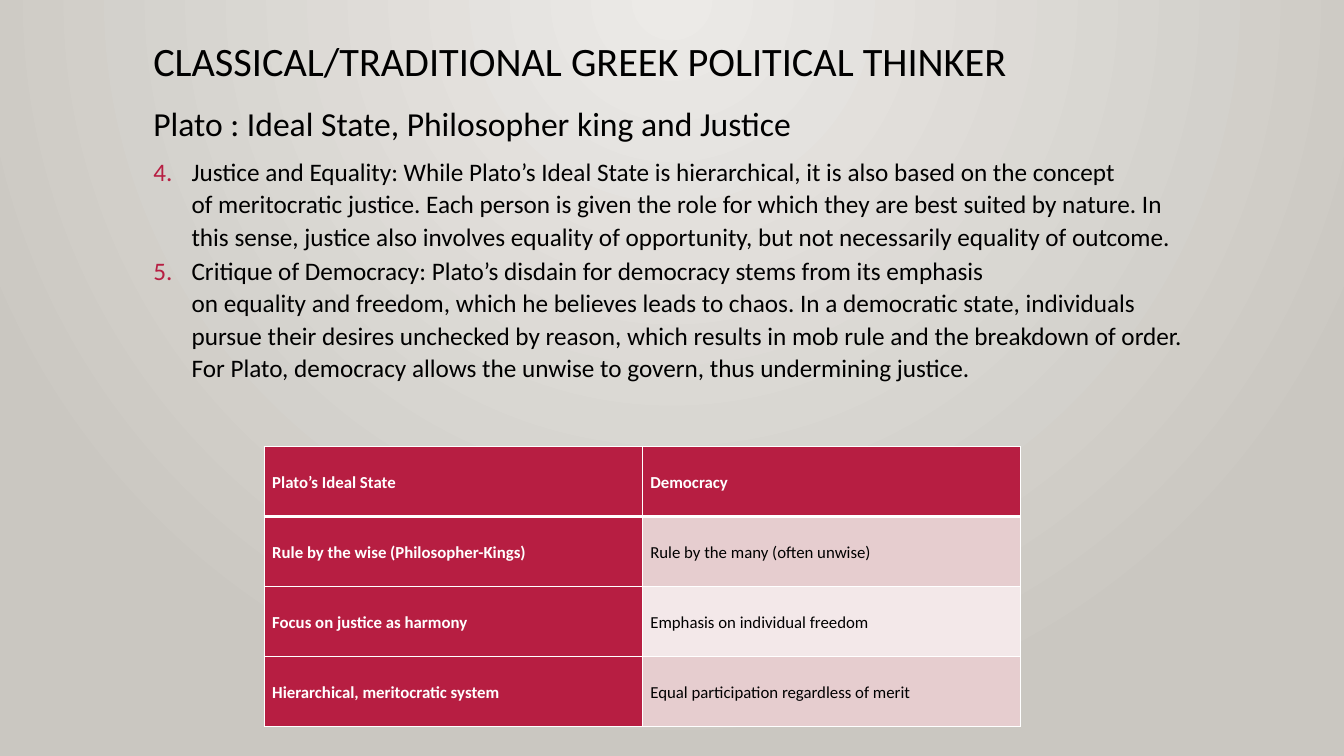
from dataclasses import dataclass

from lxml import etree
from pptx import Presentation
from pptx.dml.color import RGBColor
from pptx.enum.text import MSO_ANCHOR, MSO_AUTO_SIZE, PP_ALIGN
from pptx.oxml.ns import qn
from pptx.util import Pt

MIDDLE = MSO_ANCHOR.MIDDLE
TOP = MSO_ANCHOR.TOP
NO_AUTOFIT = MSO_AUTO_SIZE.NONE
LEFT = PP_ALIGN.LEFT
EMU_PER_PX = 9144
HARD_SPACE = chr(160)


@dataclass(frozen=True)
class Theme:
    font: str = "Calibri"
    text: str = "000000"
    white: str = "FFFFFF"
    accent: str = "B71E42"
    band_dark: str = "E6CDCF"
    band_light: str = "F3E8E9"
    glow: str = "ECEAE7"
    edge: str = "CAC7C1"
    title_size: float = 28.8
    subtitle_size: float = 24
    body_size: float = 18
    table_size: float = 12
    line_spacing: float = 1.07


THEME = Theme()

TITLE = "CLASSICAL/TRADITIONAL GREEK POLITICAL THINKER"
SUBTITLE = "Plato : Ideal State, Philosopher king and Justice"
POINTS = [
    "Justice and Equality: While Plato’s Ideal State is hierarchical, it is also based on the concept "
    f"of{HARD_SPACE}meritocratic justice. Each person is given the role for which they are best suited "
    f"by nature. In this sense, justice also involves{HARD_SPACE}equality of opportunity, "
    f"but not necessarily{HARD_SPACE}equality of outcome.",
    "Critique of Democracy: Plato’s disdain for democracy stems from its emphasis "
    f"on{HARD_SPACE}equality{HARD_SPACE}and{HARD_SPACE}freedom, which he believes leads to chaos. "
    "In a democratic state, individuals pursue their desires unchecked by reason, "
    f"which results in{HARD_SPACE}mob rule{HARD_SPACE}and the breakdown of order. "
    "For Plato, democracy allows the unwise to govern, thus undermining justice.",
]
FIRST_POINT_NUMBER = 4
COMPARISON = [
    ("Plato’s Ideal State", "Democracy"),
    ("Rule by the wise (Philosopher-Kings)", "Rule by the many (often unwise)"),
    ("Focus on justice as harmony", "Emphasis on individual freedom"),
    ("Hierarchical, meritocratic system", "Equal participation regardless of merit"),
]


def px(length):
    return length * EMU_PER_PX


def apply(target, values):
    for name, value in values.items():
        setattr(target, name, value)


def add_child(parent, tag, **attributes):
    child = etree.SubElement(parent, qn(tag))
    for name, value in attributes.items():
        child.set(name, str(value))
    return child


def write_paragraph(paragraph, text, size, color=THEME.text, bold=False,
                    line_spacing=THEME.line_spacing, space_after=0):
    paragraph.text = text
    apply(paragraph, {
        "alignment": LEFT,
        "line_spacing": line_spacing,
        "space_before": Pt(0),
        "space_after": Pt(space_after),
    })
    apply(paragraph.font, {"name": THEME.font, "size": Pt(size), "bold": bold})
    paragraph.font.color.rgb = RGBColor.from_string(color)


def set_list_style(paragraph, start=None):
    properties = paragraph._p.get_or_add_pPr()
    indent = 0 if start is None else px(38)
    properties.set("marL", str(indent))
    properties.set("indent", str(-indent))
    if start is None:
        add_child(properties, "a:buNone")
        return
    bullet_color = add_child(properties, "a:buClr")
    add_child(bullet_color, "a:srgbClr", val=THEME.accent)
    add_child(properties, "a:buFont", typeface=THEME.font)
    add_child(properties, "a:buAutoNum", type="arabicPeriod", startAt=start)
    tabs = add_child(properties, "a:tabLst")
    add_child(tabs, "a:tab", pos=px(50), algn="l")


def place_text(shape, left, top, width, height):
    apply(shape, {"left": px(left), "top": px(top), "width": px(width), "height": px(height)})
    apply(shape.text_frame, {
        "word_wrap": True,
        "auto_size": NO_AUTOFIT,
        "vertical_anchor": TOP,
    })
    return shape.text_frame


def paint_background(slide):
    fill = slide.background.fill
    fill.gradient()
    for stop, position, color in zip(fill.gradient_stops, (0, 1), (THEME.glow, THEME.edge)):
        stop.position = position
        stop.color.rgb = RGBColor.from_string(color)
    gradient = slide.background._cSld.find(".//" + qn("a:gradFill"))
    gradient.remove(gradient.find(qn("a:lin")))
    circle = add_child(gradient, "a:path", path="circle")
    add_child(circle, "a:fillToRect", l=43000, t=0, r=43000, b=100000)


def fill_title(slide):
    frame = place_text(slide.shapes.title, 142, 36, 1050, 46)
    write_paragraph(frame.paragraphs[0], TITLE, THEME.title_size, line_spacing=0.9)


def fill_body(slide):
    frame = place_text(slide.placeholders[1], 142, 94, 1050, 646)
    subtitle = frame.paragraphs[0]
    set_list_style(subtitle)
    write_paragraph(subtitle, SUBTITLE, THEME.subtitle_size, space_after=8)
    for text, space_after in zip(POINTS, (1.5, 8)):
        paragraph = frame.add_paragraph()
        set_list_style(paragraph, FIRST_POINT_NUMBER)
        write_paragraph(paragraph, text, THEME.body_size, space_after=space_after)


def set_borders(cell, top, bottom):
    properties = cell._tc.get_or_add_tcPr()
    for tag, width in (("a:lnL", 1), ("a:lnR", 1), ("a:lnT", top), ("a:lnB", bottom)):
        line = add_child(properties, tag, w=Pt(width))
        add_child(add_child(line, "a:solidFill"), "a:srgbClr", val=THEME.white)


def format_cell(cell, text, row, column):
    emphasized = row == 0 or column == 0
    band = THEME.band_dark if row % 2 else THEME.band_light
    set_borders(cell, top=3 if row == 1 else 1, bottom=3 if row == 0 else 1)
    cell.fill.solid()
    cell.fill.fore_color.rgb = RGBColor.from_string(THEME.accent if emphasized else band)
    sides = ("left", "right", "top", "bottom")
    apply(cell, {f"margin_{side}": px(8) for side in sides})
    cell.vertical_anchor = MIDDLE
    write_paragraph(cell.text_frame.paragraphs[0], text, THEME.table_size,
                    color=THEME.white if emphasized else THEME.text,
                    bold=emphasized, space_after=18)


def add_comparison(slide):
    table = slide.shapes.add_table(len(COMPARISON), len(COMPARISON[0]),
                                   px(262), px(443), px(750), px(278)).table
    for row, texts in enumerate(COMPARISON):
        for column, text in enumerate(texts):
            format_cell(table.cell(row, column), text, row, column)


def main():
    presentation = Presentation()
    apply(presentation, {"slide_width": px(1333), "slide_height": px(750)})
    slide = presentation.slides.add_slide(presentation.slide_layouts[1])
    paint_background(slide)
    fill_title(slide)
    fill_body(slide)
    add_comparison(slide)
    presentation.save("out.pptx")


if __name__ == "__main__":
    main()
